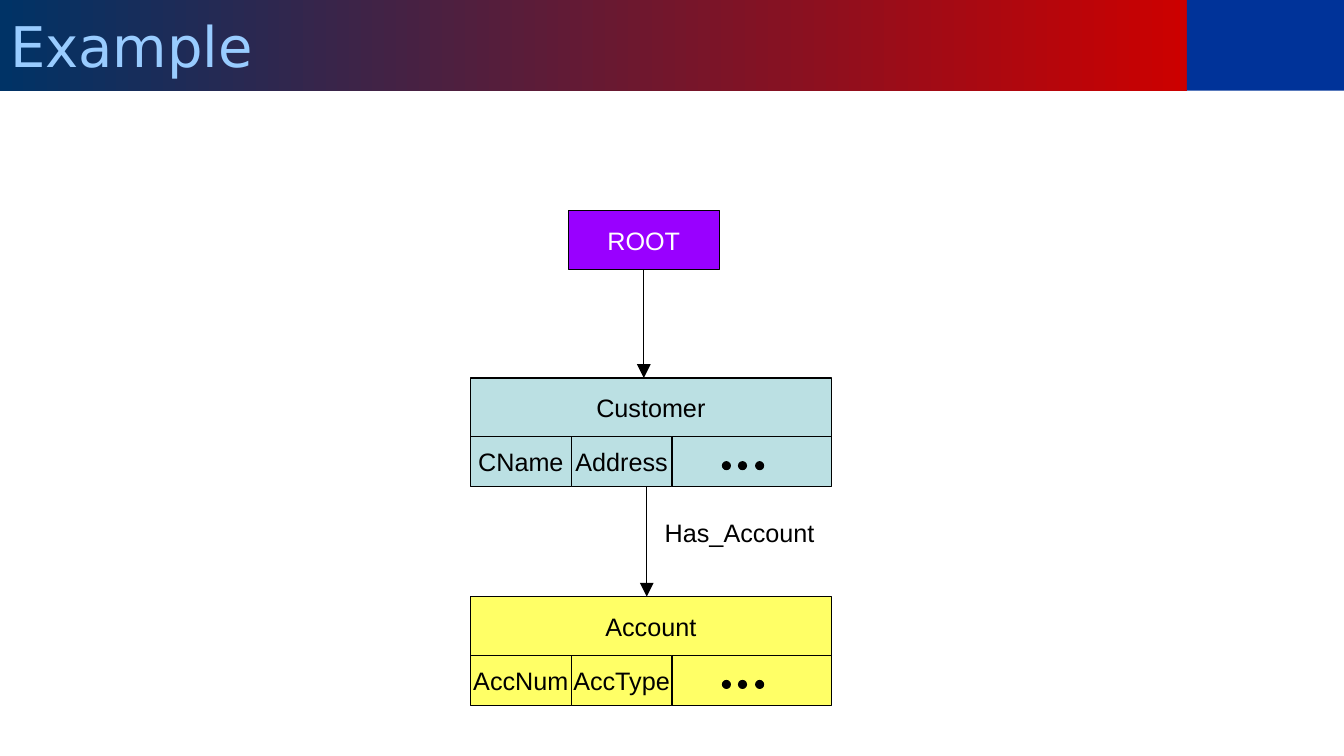
from dataclasses import dataclass

from lxml import etree
from pptx import Presentation
from pptx import util as u
from pptx.dml.color import RGBColor as Rgb
from pptx.enum import shapes as sh, text as tx
from pptx.oxml.ns import qn


@dataclass(frozen=True)
class Theme:
    head: str = "DejaVu Sans"
    body: str = "Arial"
    big: int = 40
    small: int = 18
    line: float = 0.75
    ink: str = "000000"
    white: str = "FFFFFF"
    title: str = "99CCFF"
    fade: tuple = ("003366", "CC0000")
    corner: str = "003399"
    root: str = "9900FF"
    client: str = "BBE0E3"
    account: str = "FFFF66"


T = Theme()
LEFT, HIGH, LOW, CELL, LAST = 467, 58, 50, 100, 158
WIDE = 2 * CELL + LAST
SIDE = {"margin_left": 10, "margin_right": 10, "margin_top": 5, "margin_bottom": 5}


def px(n):
    """One px is a hundredth of an inch."""
    return u.Emu(n * 9144)


def apply(obj, vals):
    for key, val in vals.items():
        setattr(obj, key, val)


def place(obj, x, y, w, h):
    apply(obj, {"left": px(x), "top": px(y), "width": px(w), "height": px(h)})


def write(shape, words, color=T.ink, face=T.body, size=T.small,
          align=tx.PP_ALIGN.CENTER, anchor=tx.MSO_ANCHOR.MIDDLE, wrap=False):
    frame = shape.text_frame
    apply(frame, {key: px(n) for key, n in SIDE.items()})
    apply(frame, {"word_wrap": wrap, "vertical_anchor": anchor})
    para = frame.paragraphs[0]
    para.alignment = align
    run = para.add_run()
    run.text = words
    apply(run.font, {"name": face, "size": u.Pt(size)})
    run.font.color.rgb = Rgb.from_string(color)


def draw(host, kind, x, y, w, h, fill, edge=True):
    shape = host.add_shape(kind, px(x), px(y), px(w), px(h))
    shape.shadow.inherit = False
    shape.fill.solid()
    shape.fill.fore_color.rgb = Rgb.from_string(fill)
    if edge:
        shape.line.color.rgb = Rgb.from_string(T.ink)
        shape.line.width = u.Pt(T.line)
    else:
        shape.line.fill.background()
    return shape


def box(host, x, y, w, h, fill, words="", color=T.ink, edge=True):
    shape = draw(host, sh.MSO_SHAPE.RECTANGLE, x, y, w, h, fill, edge)
    if words:
        write(shape, words, color)


def dots(host, x, y):
    group = host.add_group_shape()
    for i in range(3):
        draw(group.shapes, sh.MSO_SHAPE.OVAL, x + 50 * i // 3, y, 8, 8, T.ink)


def record(host, y, fill, name, fields):
    """A named record with its fields in a row below."""
    row = y + HIGH
    box(host, LEFT + 2 * CELL, row, LAST, LOW, fill)
    box(host, LEFT, y, WIDE, HIGH, fill, name)
    for i, field in enumerate(fields):
        box(host, LEFT + i * CELL, row, CELL, LOW, fill, field)
    dots(host, LEFT + 2 * CELL + 50, row + LOW // 2)


def arrow(host, x, top, end):
    line = host.add_connector(sh.MSO_CONNECTOR.STRAIGHT, px(x), px(top), px(x), px(end))
    line.line.color.rgb = Rgb.from_string(T.ink)
    line.line.width = u.Pt(T.line)
    etree.SubElement(line.line._get_or_add_ln(), qn("a:tailEnd"),
                     type="triangle", w="lg", len="lg")
    etree.SubElement(line._element.spPr, qn("a:effectLst"))


def label(host, x, y, w, h, words):
    note = host.add_textbox(px(x), px(y), px(w), px(h))
    write(note, words, align=tx.PP_ALIGN.LEFT, anchor=tx.MSO_ANCHOR.TOP, wrap=True)


def banner(slide, words):
    title = slide.shapes.title
    place(title, 0, 0, 1178, 90)
    title.fill.gradient()
    title.fill.gradient_angle = 0
    for stop, color in zip(title.fill.gradient_stops, T.fade):
        stop.color.rgb = Rgb.from_string(color)
    write(title, words, T.title, T.head, T.big, tx.PP_ALIGN.LEFT, wrap=True)
    box(slide.shapes, 1178, 0, 156, 90, T.corner, edge=False)


def main():
    deck = Presentation()
    apply(deck, {"slide_width": px(1334), "slide_height": px(750)})
    slide = deck.slides.add_slide(deck.slide_layouts[5])
    host = slide.shapes

    # Header
    banner(slide, "Example")

    # Records
    record(host, 375, T.client, "Customer", ("CName", "Address"))
    record(host, 592, T.account, "Account", ("AccNum", "AccType"))
    box(host, 564, 209, 150, HIGH, T.root, "ROOT", T.white)

    # Links
    arrow(host, 639, 209 + HIGH, 375)
    arrow(host, 642, 375 + HIGH + LOW, 592)
    label(host, 650, 508, 190, 40, "Has_Account")

    deck.save("out.pptx")


if __name__ == "__main__":
    main()
